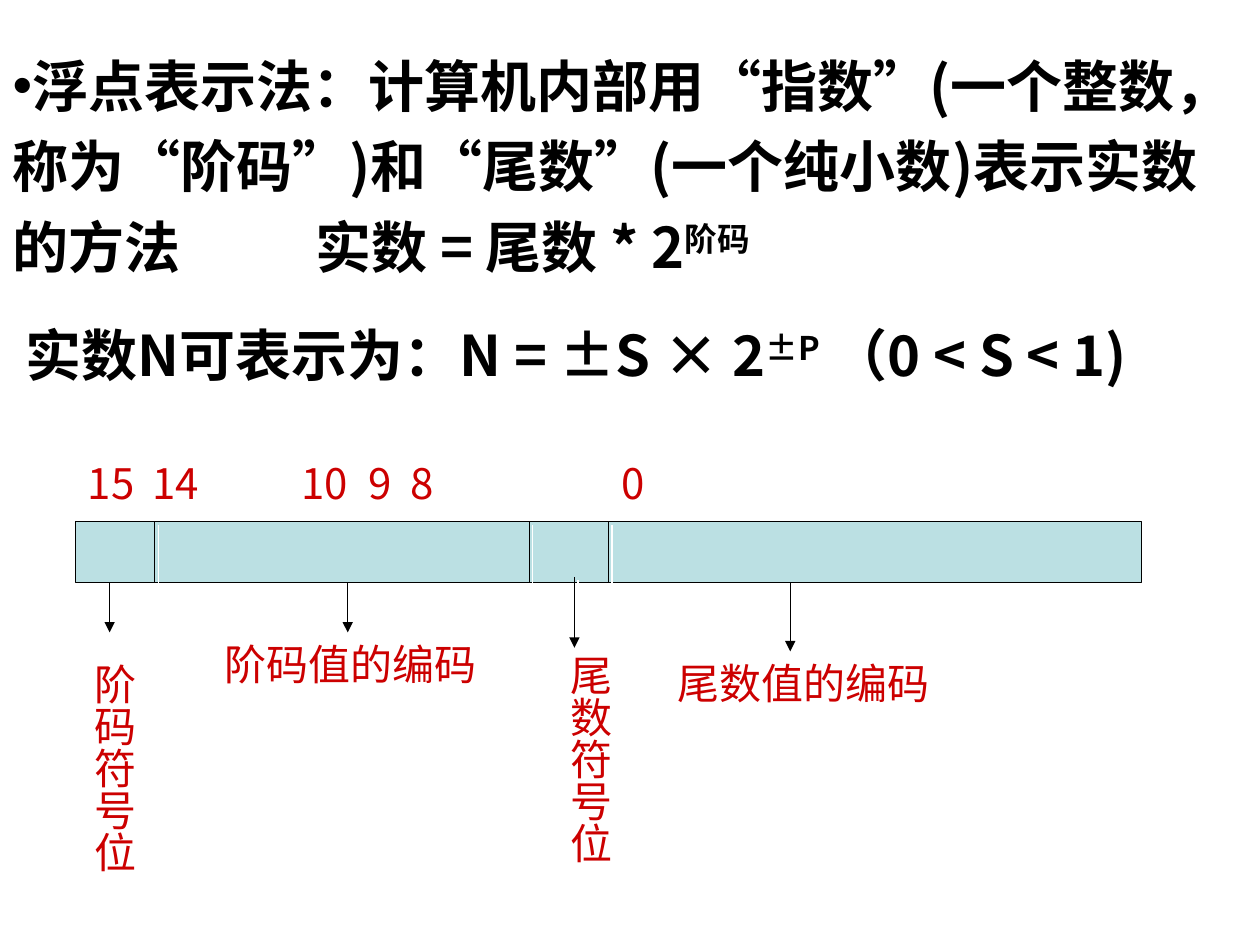
from pptx import Presentation
from pptx.util import Cm, Pt
from pptx.dml.color import RGBColor as RGB
from pptx.enum.shapes import MSO_SHAPE as Shape, MSO_CONNECTOR as Link
from pptx.enum.text import MSO_AUTO_SIZE as Auto
from pptx.oxml import parse_xml
from pptx.oxml.ns import qn, nsdecls
from lxml.etree import SubElement as Sub

SANS = "Noto Sans CJK SC"
SERIF = "Times New Roman"
NS = nsdecls("a")


def paint(color, value):
    color.rgb = RGB.from_string(value)


def add_run(para, text, size, value, face=SANS, bold=False, base=0):
    run = para.add_run()
    run.text = text
    font = run.font
    font.name, font.size, font.bold = face, Pt(size), bold
    paint(font.color, value)
    props = run._r.get_or_add_rPr()
    Sub(props, qn("a:ea")).set("typeface", SANS)
    if base:
        props.set("baseline", str(base * 1000))


deck = Presentation()
deck.slide_width, deck.slide_height = Cm(25.4), Cm(19.05)
slide = deck.slides.add_slide(deck.slide_layouts[1])
shapes = slide.shapes
title = shapes.title._element
title.getparent().remove(title)

body = slide.placeholders[1]
body.left, body.top, body.width, body.height = Cm(0), Cm(0.64), Cm(25.4), Cm(7.42)
frame = body.text_frame
frame.word_wrap = True
frame.auto_size = Auto.NONE
paras = [
    (0, 0, 6.1, '<a:buChar %s char="•"/>', [
        ("浮点表示法：计算机内部用", SANS, 0), ("“", SERIF, 0), ("指数", SANS, 0),
        ("”", SERIF, 0), ("(一个整数，称为", SANS, 0), ("“", SERIF, 0),
        ("阶码", SANS, 0), ("”", SERIF, 0), (")和", SANS, 0), ("“", SERIF, 0),
        ("尾数", SANS, 0), ("”", SERIF, 0),
        ("(一个纯小数)表示实数的方法\t实数 = 尾数 * 2", SANS, 0), ("阶码", SANS, 30)]),
    (16, 0.25, 17.75, "<a:buNone %s/>", [
        ("实数N可表示为：N = ±S × 2", SANS, 0), ("±P", SANS, 30),
        ("\t（0 < S < 1)", SANS, 0)]),
]
for i, (gap, indent, stop, mark, runs) in enumerate(paras):
    para = frame.paragraphs[0] if i == 0 else frame.add_paragraph()
    props = para._p.get_or_add_pPr()
    props.set("marL", "0")
    props.set("indent", str(Cm(indent)))
    props.append(parse_xml(mark % NS))
    tabs = Sub(props, qn("a:tabLst"))
    Sub(tabs, qn("a:tab"), pos=str(Cm(stop)), algn="l")
    para.line_spacing = Pt(46)
    para.space_before = Pt(gap)
    for text, face, base in runs:
        add_run(para, text, 32, "000000", face, True, base)

top, low = 10.52, 11.74
word = shapes.add_shape(Shape.RECTANGLE, Cm(1.52), Cm(top), Cm(21.49), Cm(low - top))
word.shadow.inherit = False
word.fill.solid()
paint(word.fill.fore_color, "BBE0E3")
paint(word.line.color, "000000")
word.line.width = Pt(0.75)

bars = [(x, top, low, False) for x in (12.27, 10.67, 3.12)]
arrows = [(11.58, 11.63, 13.06, True), (2.21, low, 12.75, True),
          (7.01, low, 12.75, True), (15.93, low, 13.13, True)]
for x, start, end, head in bars + arrows:
    line = shapes.add_connector(Link.STRAIGHT, Cm(x), Cm(start), Cm(x), Cm(end))
    paint(line.line.color, "000000")
    line.line.width = Pt(0.75)
    if head:
        Sub(line.line._get_or_add_ln(), qn("a:tailEnd"), type="triangle")
    glow = Sub(line._element.spPr, qn("a:effectLst"))
    cast = Sub(glow, qn("a:outerShdw"), dist=str(Pt(2.8)), dir="2700000",
               algn="ctr", rotWithShape="0")
    Sub(cast, qn("a:srgbClr"), val="FFFFFF")

labels = [
    ("阶码符号位", 1.42, 13.13, 1.52, 4.85, True, []),
    ("尾数符号位", 11, 12.95, 1.52, 5.05, True, []),
    ("阶码值的编码", 4.27, 12.75, 6.17, 1.27, False, []),
    ("尾数值的编码", 13.41, 13.13, 6.86, 1.27, False, []),
    ("15\t14\t10\t9\t8\t0", 1.52, 9.09, 22.4, 1.27, False,
     [1.3, 4.3, 5.65, 6.5, 10.75]),
]
for text, x, y, wide, high, tall, stops in labels:
    box = shapes.add_textbox(Cm(x), Cm(y), Cm(wide), Cm(high))
    frame = box.text_frame
    frame.word_wrap = True
    frame.auto_size = Auto.SHAPE_TO_FIT_TEXT
    if tall:
        frame._txBody.bodyPr.set("vert", "eaVert")
    para = frame.paragraphs[0]
    if stops:
        tabs = Sub(para._p.get_or_add_pPr(), qn("a:tabLst"))
        for stop in stops:
            Sub(tabs, qn("a:tab"), pos=str(Cm(stop)), algn="l")
    add_run(para, text, 24, "CC0000")

deck.save("out.pptx")
